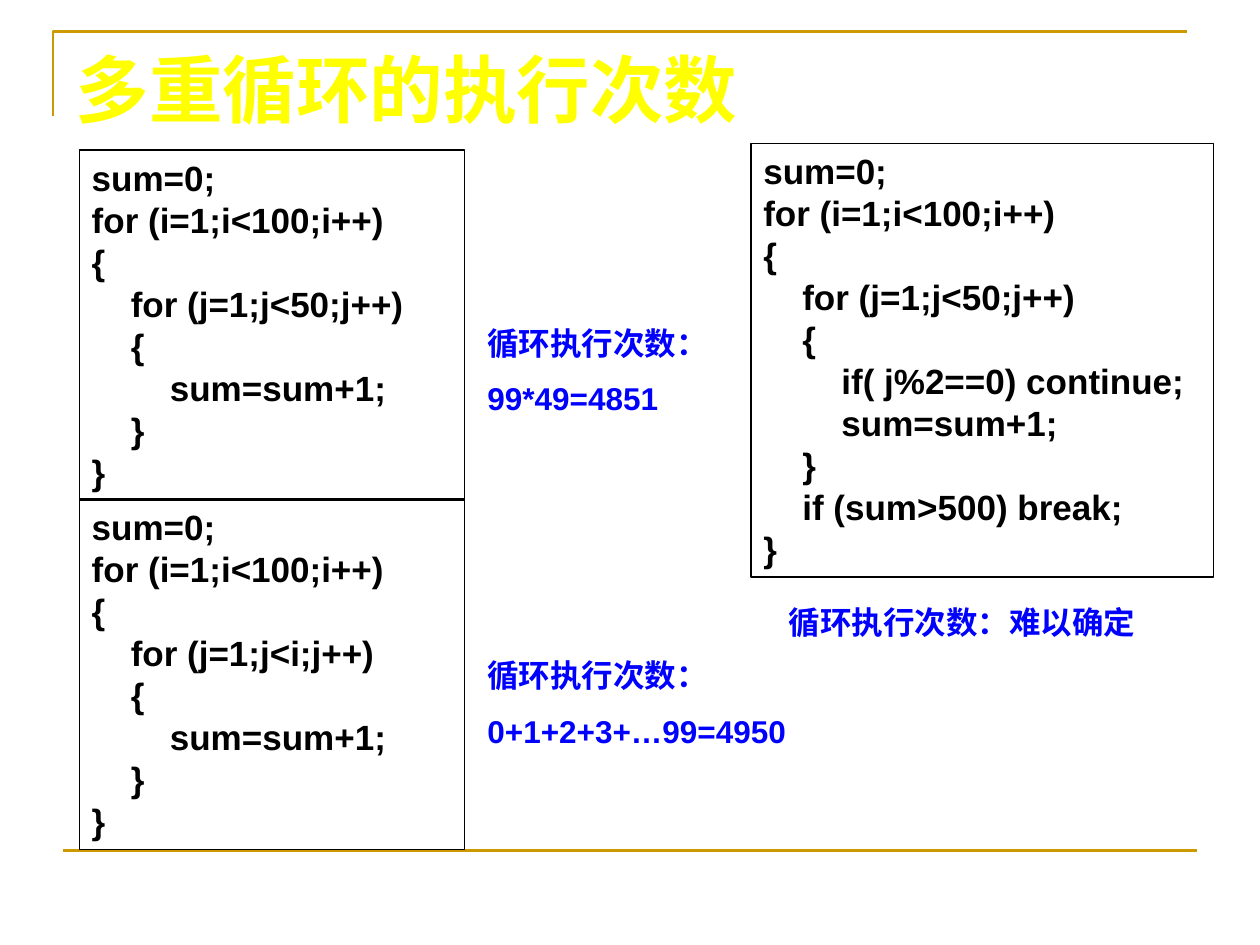
from lxml import etree
from pptx import Presentation
from pptx import util as u
from pptx.dml.color import RGBColor
from pptx.enum import shapes, text
from pptx.oxml.ns import qn

INDENT = u.Inches(0.31)


def color(value):
    return RGBColor.from_string(value)


def write_lines(box, lines, size, ink, gap=0, font="Arial"):
    """Fill a box with bold lines, each given as (indent level, words)."""
    frame = box.text_frame
    frame.word_wrap = True
    frame.vertical_anchor = text.MSO_ANCHOR.TOP
    for number, (level, words) in enumerate(lines):
        para = frame.paragraphs[0] if number == 0 else frame.add_paragraph()
        para.alignment = text.PP_ALIGN.LEFT
        para.space_before = u.Pt(gap)
        if level:
            para._p.get_or_add_pPr().set("marL", str(level * INDENT))
        span = para.add_run()
        span.text = words
        span.font.name = font
        span.font.size = u.Pt(size)
        span.font.bold = True
        span.font.color.rgb = color(ink)


deck = Presentation()
deck.slide_width, deck.slide_height = u.Inches(10), u.Inches(7.5)
page = deck.slides.add_slide(deck.slide_layouts[5])

# Gold corner at the top and rule at the bottom
builder = page.shapes.build_freeform(u.Inches(0.42), u.Inches(0.92))
builder.add_line_segments(
    [(u.Inches(0.42), u.Inches(0.25)), (u.Inches(9.42), u.Inches(0.25))], close=False)
corner = builder.convert_to_shape()
corner.fill.background()
corner.shadow.inherit = False
rule = page.shapes.add_connector(
    shapes.MSO_CONNECTOR.STRAIGHT,
    u.Inches(0.5), u.Inches(6.75), u.Inches(9.5), u.Inches(6.75))
etree.SubElement(rule._element.spPr, qn("a:effectLst"))
for ornament in (corner, rule):
    ornament.line.color.rgb = color("CC9900")
    ornament.line.width = u.Pt(1.5)

# Title
title = page.shapes.title
title.left, title.top = u.Inches(0.5), u.Inches(0.3)
title.width, title.height = u.Inches(9), u.Inches(1.25)
write_lines(title, [(0, "多重循环的执行次数")], 42, "FFFF00", font="Times New Roman")

# Code listings: the loops share their opening lines
opening = [(0, "sum=0;"), (0, "for (i=1;i<100;i++)"), (0, "{")]
body = [(1, "{"), (2, "sum=sum+1;"), (1, "}"), (0, "}")]
fixed_loop = opening + [(1, "for (j=1;j<50;j++)")]
listings = [
    (0.63, 1.19, 3.06, 2.78, fixed_loop + body),
    (0.63, 3.96, 3.06, 2.78, opening + [(1, "for (j=1;j<i;j++)")] + body),
    (5.96, 1.14, 3.67, 3.44, fixed_loop + [
        (1, "{"), (2, "if( j%2==0) continue;"), (2, "sum=sum+1;"), (1, "}"),
        (1, "if (sum>500) break;"), (0, "}")]),
]
for left, top, width, height, code in listings:
    listing = page.shapes.add_shape(
        shapes.MSO_SHAPE.RECTANGLE,
        u.Inches(left), u.Inches(top), u.Inches(width), u.Inches(height))
    listing.shadow.inherit = False
    listing.fill.background()
    listing.line.color.rgb = color("000000")
    listing.line.width = u.Pt(0.75)
    write_lines(listing, code, 20, "000000")

# Iteration counts
counts = [
    (3.77, 2.52, 2.06, 0.85, ["循环执行次数：", "99*49=4851"]),
    (3.77, 5.16, 4.35, 0.85, ["循环执行次数：", "0+1+2+3+…99=4950"]),
    (6.16, 4.74, 3.11, 0.4, ["循环执行次数：难以确定"]),
]
for left, top, width, height, words in counts:
    count = page.shapes.add_textbox(
        u.Inches(left), u.Inches(top), u.Inches(width), u.Inches(height))
    write_lines(count, [(0, line) for line in words], 18, "0000FF", gap=10)

deck.save("out.pptx")
